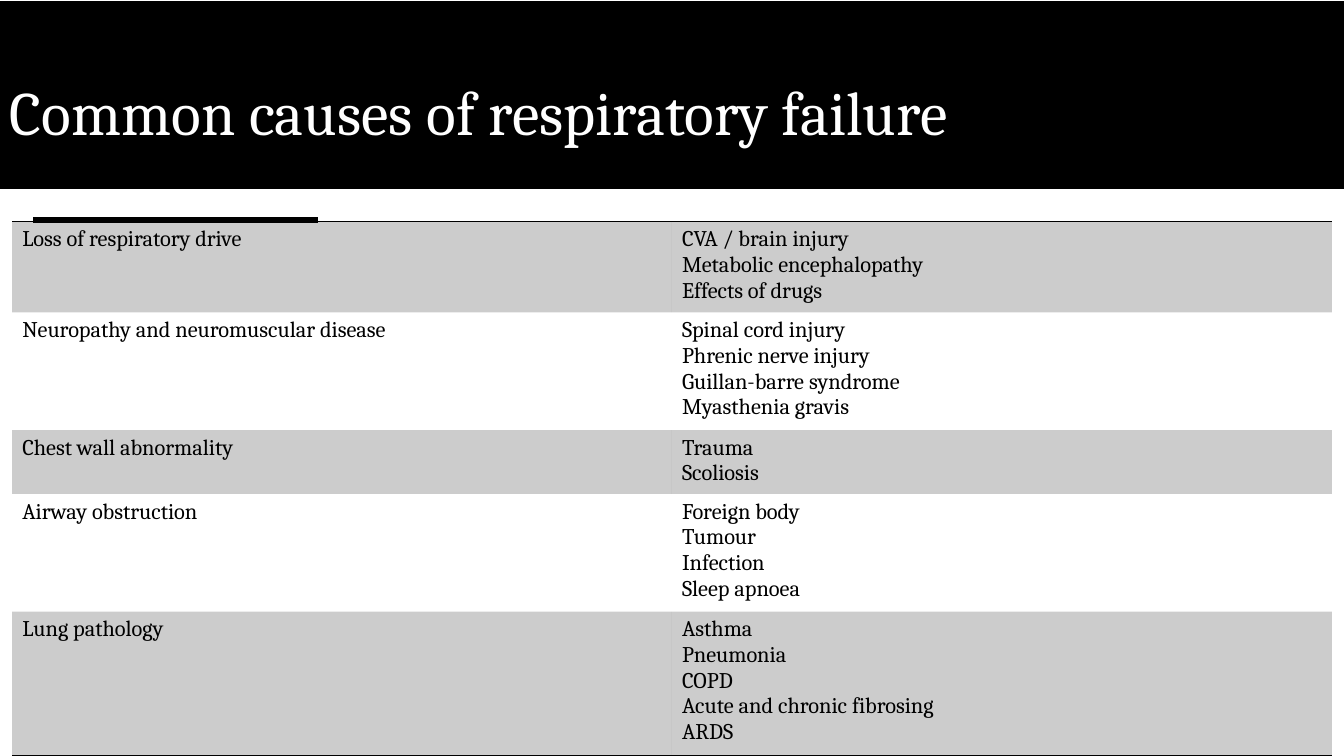
from dataclasses import dataclass

from lxml import etree
from pptx import Presentation
from pptx.dml.color import RGBColor
from pptx.enum.shapes import MSO_CONNECTOR, MSO_SHAPE
from pptx.enum.text import MSO_ANCHOR
from pptx.oxml import parse_xml
from pptx.oxml.ns import nsdecls, qn
from pptx.util import Pt

RECT = MSO_SHAPE.RECTANGLE
LINE = MSO_CONNECTOR.STRAIGHT
MIDDLE = MSO_ANCHOR.MIDDLE
PLAIN = "{2D5ABB26-0587-4C30-8999-92F81FD0307C}"  # no style, no grid


@dataclass(frozen=True)
class Theme:
    ink: RGBColor = RGBColor(0, 0, 0)
    paper: RGBColor = RGBColor(255, 255, 255)
    font: str = "Cambria"
    head: int = 44
    body: int = 16
    tint: int = 20  # band opacity in percent


THEME = Theme()
WIDTH, HEIGHT = 960, 540

CAUSES = [
    ("Loss of respiratory drive",
     ["CVA / brain injury", "Metabolic encephalopathy", "Effects of drugs"]),
    ("Neuropathy and neuromuscular disease",
     ["Spinal cord injury", "Phrenic nerve injury", "Guillan-barre syndrome",
      "Myasthenia gravis"]),
    ("Chest wall abnormality", ["Trauma", "Scoliosis"]),
    ("Airway obstruction",
     ["Foreign body", "Tumour", "Infection", "Sleep apnoea"]),
    ("Lung pathology",
     ["Asthma", "Pneumonia", "COPD", "Acute and chronic fibrosing", "ARDS"]),
]


def write(frame, lines, size, color):
    frame.text = "\n".join(lines)
    for para in frame.paragraphs:
        para.font.name = THEME.font
        para.font.size = Pt(size)
        para.font.color.rgb = color


def banner(slide, box, title):
    left, top, width, height = box
    band = slide.shapes.add_shape(RECT, *map(Pt, box))
    band.shadow.inherit = False
    band.fill.solid()
    band.fill.fore_color.rgb = THEME.ink
    band.line.color.rgb = THEME.ink
    band.line.width = Pt(1)

    drop = 28.8
    label = slide.shapes.add_textbox(
        Pt(left), Pt(top + drop), Pt(width - 132), Pt(height - drop))
    frame = label.text_frame
    frame.word_wrap = True
    frame.vertical_anchor = MIDDLE
    write(frame, [title], THEME.head, THEME.paper)
    frame.paragraphs[0].line_spacing = 0.9


def accent(slide, left, top, width):
    rule = slide.shapes.add_connector(
        LINE, Pt(left), Pt(top), Pt(left + width), Pt(top))
    rule.line.color.rgb = THEME.ink
    rule.line.width = Pt(4.5)
    etree.SubElement(rule._element.spPr, qn("a:effectLst"))


def shade(cell):
    """Fill a cell with see-through ink."""
    cell.fill.solid()
    cell.fill.fore_color.rgb = THEME.ink
    color = cell._tc.tcPr.find(".//" + qn("a:srgbClr"))
    etree.SubElement(color, qn("a:alpha"), val=str(THEME.tint * 1000))


def edge(cell, side):
    """Draw one border of a cell; side is T or B."""
    border = parse_xml(
        f'<a:ln{side} {nsdecls("a")} w="{Pt(1)}"><a:solidFill>'
        f'<a:srgbClr val="{THEME.ink}"/></a:solidFill></a:ln{side}>')
    cell._tc.get_or_add_tcPr().insert(0, border)


def grid(slide, box, causes):
    left, top, width, height = box
    table = slide.shapes.add_table(len(causes), 2, *map(Pt, box)).table
    table.first_row = table.horz_banding = False
    table._tbl.tblPr.find(qn("a:tableStyleId")).text = PLAIN
    for col in table.columns:
        col.width = Pt(width / 2)

    pad = 7.2
    count = sum(len(items) for _, items in causes)
    step = (height - pad * len(causes)) / count
    last = len(causes) - 1
    for i, (cause, items) in enumerate(causes):
        table.rows[i].height = Pt(step * len(items) + pad)
        for cell, lines in zip(table.rows[i].cells, ([cause], items)):
            write(cell.text_frame, lines, THEME.body, THEME.ink)
            if i % 2 == 0:
                shade(cell)
            else:
                cell.fill.background()
            if i == 0:
                edge(cell, "T")
            if i == last:
                edge(cell, "B")


def main():
    deck = Presentation()
    deck.slide_width, deck.slide_height = Pt(WIDTH), Pt(HEIGHT)
    slide = deck.slides.add_slide(deck.slide_layouts[6])
    banner(slide, (0, 1.2, WIDTH, 133.2),
           "Common causes of respiratory failure")
    accent(slide, 23.8, 157, 203.5)
    grid(slide, (8.7, 158.4, 942.6, 381.6), CAUSES)
    deck.save("out.pptx")


if __name__ == "__main__":
    main()
